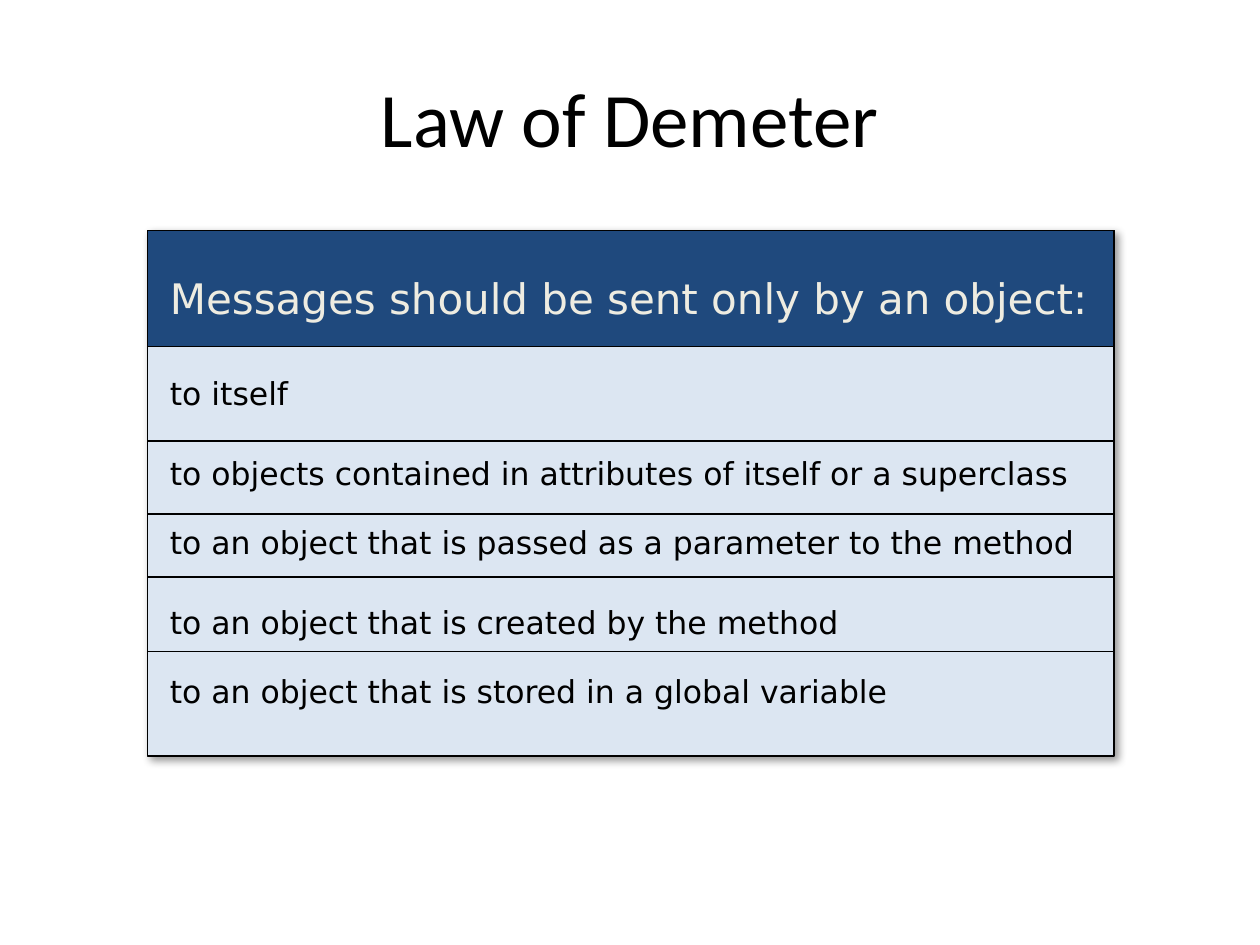
from lxml import etree
from pptx import Presentation
from pptx.dml.color import RGBColor
from pptx.enum import shapes as kinds, text as txt
from pptx.oxml.ns import qn
from pptx.util import Inches, Pt

BLACK = RGBColor(0x00, 0x00, 0x00)
NAVY = RGBColor(0x1F, 0x49, 0x7D)
PALE_BLUE = RGBColor(0xDC, 0xE6, 0xF2)
CREAM = RGBColor(0xEE, 0xEC, 0xE1)

# Each rule: wording, space before in points
RULES = [
    ("to itself", 12),
    ("to objects contained in attributes of itself or a superclass", 12),
    ("to an object that is passed as a parameter to the method", 6),
    ("to an object that is created by the method", 12),
    ("to an object that is stored in a global variable", 6),
]
DIVIDER_OFFSETS = [1.67, 2.25, 2.75, 3.34]


def add_run(paragraph, words, size, font, color):
    run = paragraph.add_run()
    run.text = words
    run.font.size = Pt(size)
    run.font.name = font
    run.font.color.rgb = color


def add_text_frame(parent, left, top, width, height):
    frame = parent.add_textbox(Inches(left), Inches(top),
                               Inches(width), Inches(height)).text_frame
    frame.word_wrap = True
    return frame


def add_panel(parent, left, top, width, height, color):
    panel = parent.add_shape(kinds.MSO_SHAPE.RECTANGLE, Inches(left), Inches(top),
                             Inches(width), Inches(height))
    panel.shadow.inherit = False
    panel.fill.solid()
    panel.fill.fore_color.rgb = color
    panel.line.color.rgb = BLACK
    panel.line.width = Pt(1)
    return panel


def add_drop_shadow(panel):
    effects = panel._element.spPr.find(qn("a:effectLst"))
    shadow = etree.SubElement(effects, qn("a:outerShdw"), blurRad=str(Pt(5)),
                              dist=str(Pt(3)), dir="2700000", rotWithShape="0")
    color = etree.SubElement(shadow, qn("a:srgbClr"), val=str(BLACK))
    etree.SubElement(color, qn("a:alpha"), val="40000")


def add_divider(parent, left, y, width):
    divider = parent.add_connector(kinds.MSO_CONNECTOR.STRAIGHT, Inches(left), Inches(y),
                                   Inches(left + width), Inches(y))
    divider.line.color.rgb = BLACK
    divider.line.width = Pt(1)
    etree.SubElement(divider._element.spPr, qn("a:effectLst"))


def add_title(slide, left, top, width, height):
    frame = add_text_frame(slide.shapes, left, top, width, height)
    frame.vertical_anchor = txt.MSO_ANCHOR.MIDDLE
    heading = frame.paragraphs[0]
    heading.alignment = txt.PP_ALIGN.CENTER
    add_run(heading, "Law of Demeter", 44, "Calibri", BLACK)


def add_rules_card(slide, left, top, width, height):
    card = slide.shapes.add_group_shape().shapes
    add_drop_shadow(add_panel(card, left, top, width, height, PALE_BLUE))
    add_panel(card, left, top, width, 0.92, NAVY)
    for offset in DIVIDER_OFFSETS:
        add_divider(card, left, top + offset, width)

    header = add_text_frame(card, left + 0.08, top + 0.28, width - 0.09, 0.5)
    add_run(header.paragraphs[0], "Messages should be sent only by an object:",
            24, "DejaVu Sans", CREAM)

    rules = add_text_frame(card, left + 0.08, top + 1.09, width - 0.17, 2.79)
    for index, (words, space_before) in enumerate(RULES):
        rule = rules.add_paragraph() if index else rules.paragraphs[0]
        rule.space_before = Pt(space_before)
        rule.space_after = Pt(12)
        add_run(rule, words, 18, "DejaVu Sans", BLACK)


def main():
    deck = Presentation()
    deck.slide_width, deck.slide_height = Inches(10), Inches(7.5)
    slide = deck.slides.add_slide(deck.slide_layouts[6])
    add_title(slide, 0.5, 0.3, 9, 1.25)
    add_rules_card(slide, 1.17, 1.83, 7.67, 4.17)
    deck.save("out.pptx")


if __name__ == "__main__":
    main()
